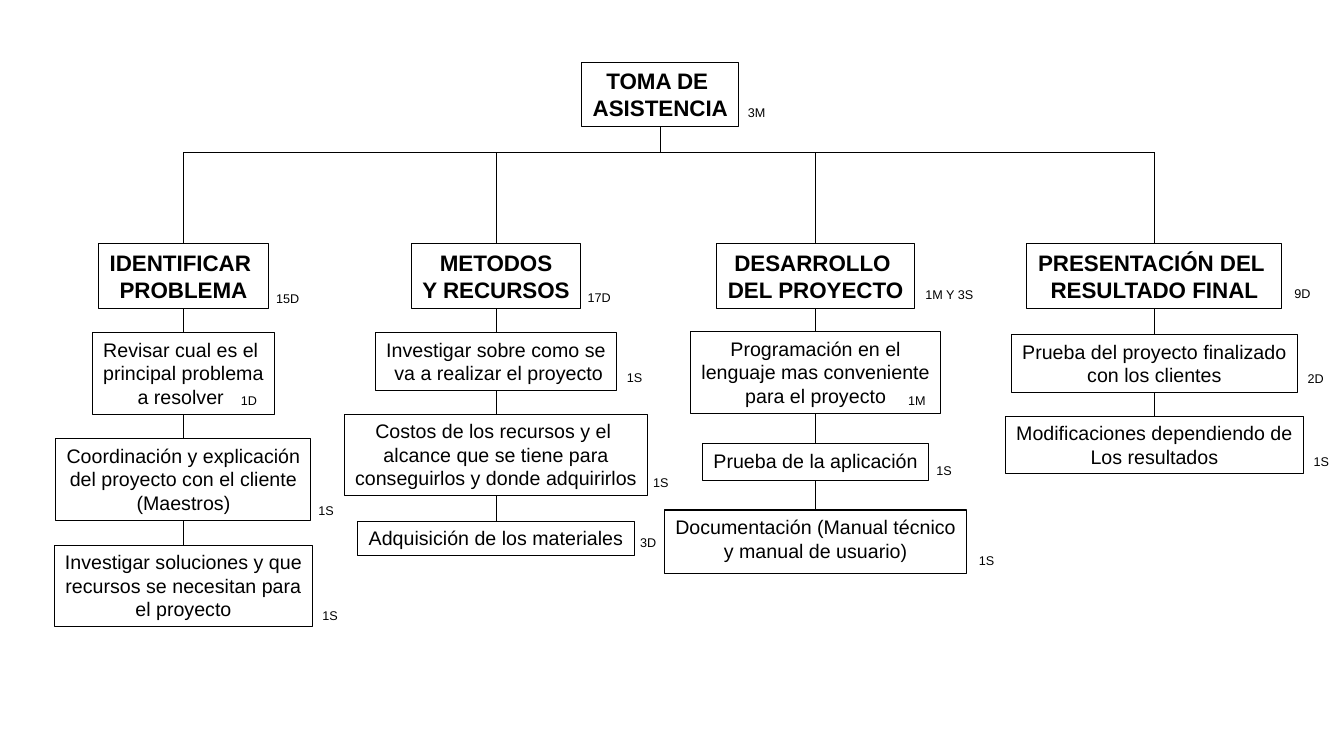
from pptx import Presentation
from pptx.dml.color import RGBColor
from pptx.enum.shapes import MSO_CONNECTOR, MSO_SHAPE
from pptx.enum.text import MSO_ANCHOR, MSO_AUTO_SIZE, PP_ALIGN
from pptx.oxml.ns import qn
from pptx.util import Inches, Pt
from lxml import etree

RECT = MSO_SHAPE.RECTANGLE
STRAIGHT = MSO_CONNECTOR.STRAIGHT
TOP = MSO_ANCHOR.TOP
GROW = MSO_AUTO_SIZE.SHAPE_TO_FIT_TEXT
LEFT, CENTER = PP_ALIGN.LEFT, PP_ALIGN.CENTER
BLACK = RGBColor.from_string("000000")
BAR_Y = 1.51

HEAD = {"size": Pt(16), "bold": True}
TASK = {"size": Pt(14), "bold": False}
NOTE = {"size": Pt(9), "bold": False}

# Box: top, width, height, text, then duration with its left and top
ROOT = (6.55, [(0.62, 1.56, 0.64, "TOMA DE \nASISTENCIA", "3M", 7.32, 0.99)])
COLUMNS = [
    (1.82, [
        (2.42, 1.68, 0.64, "IDENTIFICAR \nPROBLEMA", "15D", 2.64, 2.84),
        (3.3, 1.8, 0.81, "Revisar cual es el \nprincipal problema\na resolver ", "1D", 2.29, 3.85),
        (4.35, 2.53, 0.81, "Coordinación y explicación\ndel proyecto con el cliente\n(Maestros)",
         "1S", 3.06, 4.94),
        (5.41, 2.56, 0.81, "Investigar soluciones y que\nrecursos se necesitan para\nel proyecto",
         "1S", 3.1, 5.98),
    ]),
    (4.92, [
        (2.42, 1.68, 0.64, "METODOS\nY RECURSOS", "17D", 5.73, 2.83),
        (3.3, 2.39, 0.57, "Investigar sobre como se\n va a realizar el proyecto", "1S", 6.12, 3.62),
        (4.11, 3.01, 0.81, "Costos de los recursos y el \nalcance que se tiene para\n"
         "conseguirlos y donde adquirirlos", "1S", 6.38, 4.66),
        (5.17, 2.74, 0.34, "Adquisición de los materiales", "3D", 6.25, 5.26),
    ]),
    (8.09, [
        (2.42, 1.96, 0.64, "DESARROLLO \nDEL PROYECTO", "1M Y 3S", 9.08, 2.8),
        (3.29, 2.48, 0.81, "Programación en el\nlenguaje mas conveniente\npara el proyecto",
         "1M", 8.91, 3.85),
        (4.4, 2.24, 0.37, "Prueba de la aplicación", "1S", 9.19, 4.54),
        (5.06, 3, 0.63, "Documentación (Manual técnico\ny manual de usuario)", "1S", 9.61, 5.44),
    ]),
    (11.45, [
        (2.42, 2.53, 0.64, "PRESENTACIÓN DEL \nRESULTADO FINAL", "9D", 12.74, 2.79),
        (3.32, 2.84, 0.57, "Prueba del proyecto finalizado\ncon los clientes", "2D", 12.87, 3.63),
        (4.13, 2.95, 0.57, "Modificaciones dependiendo de\nLos resultados", "1S", 12.93, 4.45),
    ]),
]

prs = Presentation()
prs.slide_width, prs.slide_height = Inches(13.33), Inches(7.5)
shapes = prs.slides.add_slide(prs.slide_layouts[6]).shapes


def write(shape, text, align, form):
    frame = shape.text_frame
    frame.text = text
    frame.word_wrap = False
    frame.auto_size = GROW
    frame.vertical_anchor = TOP
    for para in frame.paragraphs:
        para.alignment = align
        font = para.runs[0].font
        font.name = "Arial"
        font.color.rgb = BLACK
        for key, value in form.items():
            setattr(font, key, value)


def link(start, end, upper=None, lower=None):
    """Draw a line between two points, joined to the box above and below if given."""
    line = shapes.add_connector(STRAIGHT, *map(Inches, start + end))
    line.line.color.rgb = BLACK
    line.line.width = Pt(0.5)
    etree.SubElement(line._element.spPr, qn("a:effectLst"))
    if upper is not None:
        line.begin_connect(upper, 2)
    if lower is not None:
        line.end_connect(lower, 0)


for mid, boxes in [ROOT] + COLUMNS:
    upper, start = None, (mid, BAR_Y)
    for row, (top, width, height, text, time, left, base) in enumerate(boxes):
        box = shapes.add_shape(RECT, Inches(mid - width / 2), Inches(top),
                               Inches(width), Inches(height))
        box.shadow.inherit = False
        box.fill.background()
        box.line.color.rgb = BLACK
        box.line.width = Pt(0.75)
        write(box, text, CENTER, TASK if row else HEAD)

        # Room for the side insets plus the widest letters
        note = shapes.add_textbox(Inches(left), Inches(base),
                                  Inches(0.26 + 0.07 * len(time)), Inches(0.25))
        write(note, time, LEFT, NOTE)

        if top > BAR_Y:
            link(start, (mid, top), upper, box)
        else:
            link((mid, top + height), start, box)
        upper, start = box, (mid, top + height)

link((COLUMNS[0][0], BAR_Y), (COLUMNS[-1][0], BAR_Y))

prs.save("out.pptx")
